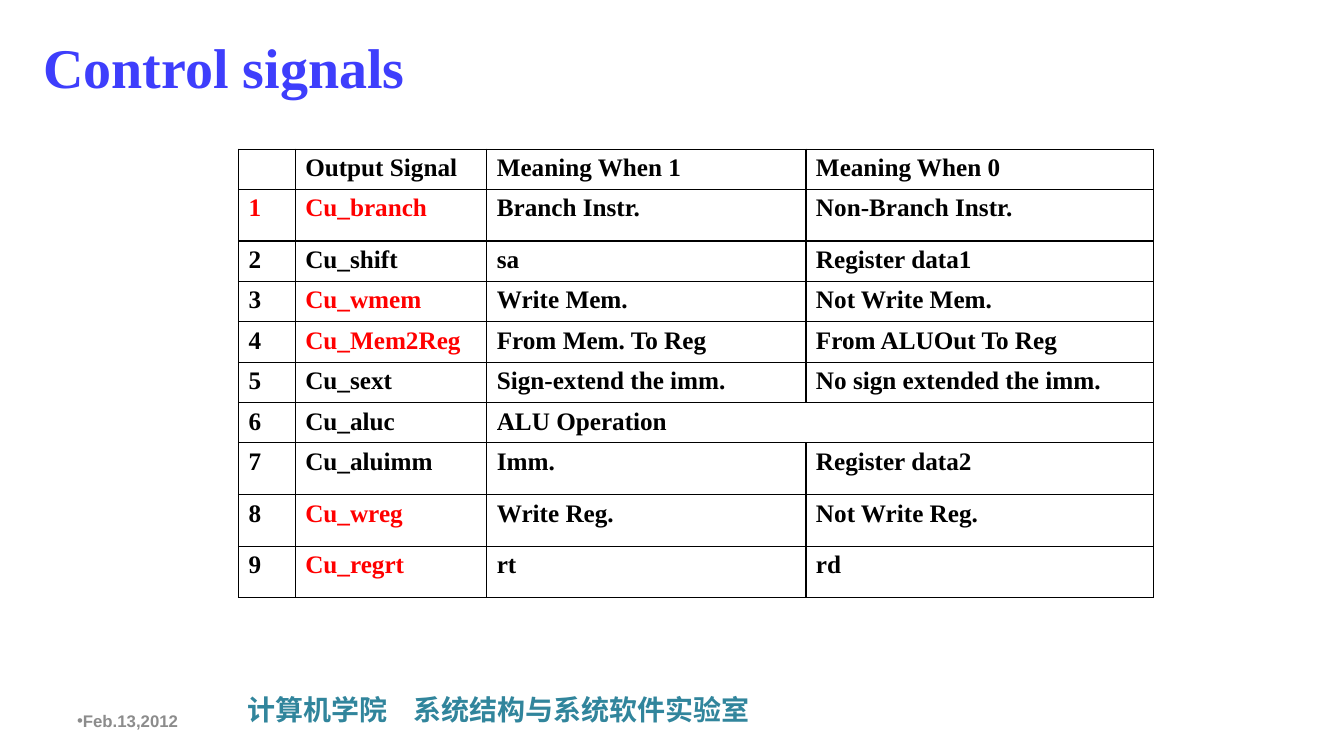
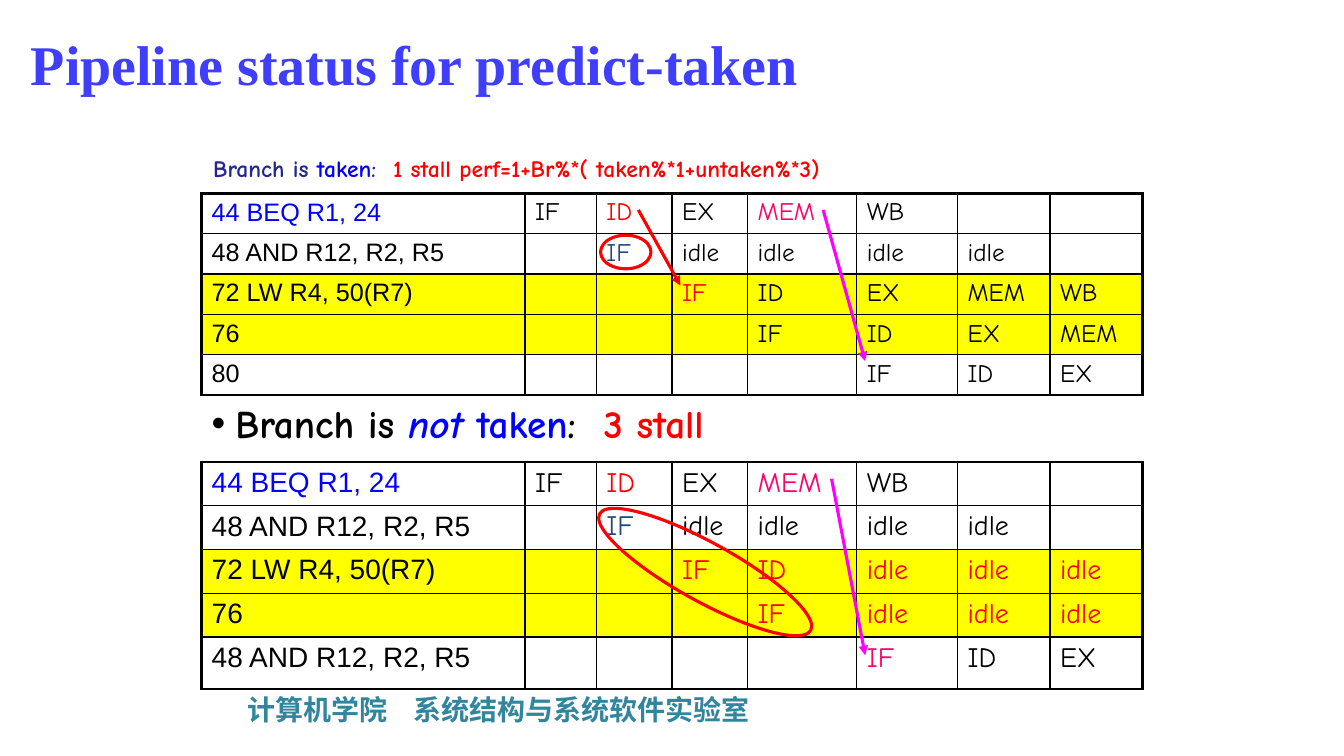
from lxml import etree
from pptx import Presentation
from pptx.dml.color import RGBColor
from pptx.enum.shapes import MSO_CONNECTOR, MSO_SHAPE
from pptx.enum.text import MSO_ANCHOR
from pptx.oxml.ns import qn
from pptx.util import Inches, Pt

STRAIGHT = MSO_CONNECTOR.STRAIGHT
OVAL = MSO_SHAPE.OVAL
TOP, MIDDLE = MSO_ANCHOR.TOP, MSO_ANCHOR.MIDDLE

GRID_COLUMNS, GRID_ROWS, UNITS_PER_INCH = 160, 90, 12

SERIF, SANS, COMIC, CHINESE = "Times New Roman", "Arial", "Comic Neue", "Noto Sans CJK SC"
BLACK, RED, BLUE, PINK = "000000", "FF0000", "0000FF", "FF0066"
MAGENTA, YELLOW, SLATE, NAVY = "FF00FF", "FFFF00", "1F497D", "242790"
TITLE_COLOR, LAB_COLOR, DATE_COLOR = "3E3EFC", "31859C", "8C8C8C"
THIN, THICK = 1, 2.25

SIGNAL_COLUMNS = [6.75, 22.8, 38, 41.4]
SIGNAL_ROWS = [4.55, 6.15, 4.55, 4.55, 4.55, 4.55, 4.55, 6.15, 6.15, 6.15]
SIGNALS = [
    ["", "Output Signal", "Meaning When 1", "Meaning When 0"],
    ["1", "Cu_branch", "Branch Instr.", "Non-Branch Instr."],
    ["2", "Cu_shift", "sa", "Register data1"],
    ["3", "Cu_wmem", "Write Mem.", "Not Write Mem."],
    ["4", "Cu_Mem2Reg", "From Mem. To Reg", "From ALUOut To Reg"],
    ["5", "Cu_sext", "Sign-extend the imm.", "No sign extended the imm."],
    ["6", "Cu_aluc", "ALU Operation", ""],
    ["7", "Cu_aluimm", "Imm.", "Register data2"],
    ["8", "Cu_wreg", "Write Reg.", "Not Write Reg."],
    ["9", "Cu_regrt", "rt", "rd"],
]
SIGNAL_COLORS = {(1, 0): RED} | {(row, 1): RED for row in (1, 3, 4, 8, 9)}
ALU_ROW = 6

PIPELINE_COLUMNS = [38.5, 8.5, 9, 9, 13, 12, 11, 11]
BRANCH_STAGES = [
    ["44 BEQ R1, 24", "IF", "ID", "EX", "MEM", "WB", "", ""],
    ["48 AND R12, R2, R5", "", "IF", "idle", "idle", "idle", "idle", ""],
]
TAKEN = BRANCH_STAGES + [
    ["72 LW R4, 50(R7)", "", "", "IF", "ID", "EX", "MEM", "WB"],
    ["76", "", "", "", "IF", "ID", "EX", "MEM"],
    ["80", "", "", "", "", "IF", "ID", "EX"],
]
NOT_TAKEN = BRANCH_STAGES + [
    ["72 LW R4, 50(R7)", "", "", "IF", "ID", "idle", "idle", "idle"],
    ["76", "", "", "", "IF", "idle", "idle", "idle"],
    ["48 AND R12, R2, R5", "", "", "", "", "IF", "ID", "EX"],
]
TAKEN_COLORS = {(0, 0): BLUE, (0, 2): RED, (0, 4): PINK, (1, 2): SLATE, (2, 3): RED}
FLUSHED_COLORS = {(row, column): RED for row in (2, 3) for column in range(3, 8)}
NOT_TAKEN_COLORS = TAKEN_COLORS | FLUSHED_COLORS | {(4, 5): PINK}
TARGET_ROWS = (2, 3)


def units(count):
    return Inches(count / UNITS_PER_INCH)


def rgb(color):
    return RGBColor.from_string(color)


def add_span(para, text, size=18, font=SANS, color=BLACK, bold=False, italic=False):
    span = para.add_run()
    span.text = text
    span.font.size = Pt(size)
    span.font.name = font
    span.font.bold = bold
    span.font.italic = italic
    span.font.color.rgb = rgb(color)
    etree.SubElement(span.font._element, qn("a:ea"), typeface=font)


def add_bullet(para, hang):
    properties = para._p.get_or_add_pPr()
    properties.set("marL", str(units(hang)))
    properties.set("indent", str(-units(hang)))
    etree.SubElement(properties, qn("a:buFont"), typeface=SANS)
    etree.SubElement(properties, qn("a:buChar"), char="•")


def add_tab_stop(para, position):
    tabs = etree.SubElement(para._p.get_or_add_pPr(), qn("a:tabLst"))
    etree.SubElement(tabs, qn("a:tab"), pos=str(units(position)), algn="l")


def add_text(page, left, top, width, height, spans, anchor=TOP, hang=None, tab=None, **style):
    box = page.shapes.add_textbox(*map(units, (left, top, width, height)))
    frame = box.text_frame
    frame.word_wrap = True
    frame.vertical_anchor = anchor
    para = frame.paragraphs[0]
    if hang is not None:
        add_bullet(para, hang)
    if tab is not None:
        add_tab_stop(para, tab)
    for text, changes in spans:
        add_span(para, text, **(style | changes))


def add_title(page, left, top, width, height, text):
    add_text(page, left, top, width, height, [(text, {})], anchor=MIDDLE,
             size=40, font=SERIF, color=TITLE_COLOR, bold=True)


def add_lab_name(page):
    add_text(page, 28.3, 81.8, 116, 5.3, [("计算机学院\t系统结构与系统软件实验室", {})],
             tab=19.75, size=20, font=CHINESE, color=LAB_COLOR, bold=True)


def set_border(cell, side, width):
    line = etree.SubElement(cell._tc.get_or_add_tcPr(), qn(f"a:ln{side}"), w=str(Pt(width)))
    fill = etree.SubElement(line, qn("a:solidFill"))
    etree.SubElement(fill, qn("a:srgbClr"), val=BLACK)


def fill_cell(cell, text, fill, style):
    if fill:
        cell.fill.solid()
        cell.fill.fore_color.rgb = rgb(fill)
    else:
        cell.fill.background()
    para = cell.text_frame.paragraphs[0]
    if text:
        add_span(para, text, **style)
    else:
        etree.SubElement(para._p, qn("a:endParaRPr"), sz="1200")


def add_grid(page, left, top, columns, rows, texts, colors, outline=THIN,
             row_fills=None, first_font=SERIF, font=SERIF, **style):
    extent = map(units, (left, top, sum(columns), sum(rows)))
    table = page.shapes.add_table(len(rows), len(columns), *extent).table
    table.first_row = table.horz_banding = False
    for column, width in zip(table.columns, columns):
        column.width = units(width)
    last_row, last_column = len(rows) - 1, len(columns) - 1
    for y, height in enumerate(rows):
        table.rows[y].height = units(height)
        for x, text in enumerate(texts[y]):
            cell = table.cell(y, x)
            edges = {"L": x == 0, "R": x == last_column, "T": y == 0, "B": y == last_row}
            for side, outer in edges.items():
                set_border(cell, side, outline if outer else THIN)
            look = style | {"font": font if x else first_font,
                            "color": colors.get((y, x), BLACK)}
            fill_cell(cell, text, (row_fills or {}).get(y), look)
    return table


def add_pipeline(page, top, rows, texts, colors, size):
    add_grid(page, 24, top, PIPELINE_COLUMNS, rows, texts, colors, outline=THICK,
             row_fills=dict.fromkeys(TARGET_ROWS, YELLOW),
             first_font=SANS, font=COMIC, size=size)


def add_arrow(page, start, end, color):
    arrow = page.shapes.add_connector(STRAIGHT, *map(units, start + end))
    arrow.line.color.rgb = rgb(color)
    arrow.line.width = Pt(THICK)
    etree.SubElement(arrow.line._get_or_add_ln(), qn("a:tailEnd"), type="triangle")
    etree.SubElement(arrow._element.spPr, qn("a:effectLst"))


def add_ring(page, left, top, width, height, rotation=0):
    ring = page.shapes.add_shape(OVAL, *map(units, (left, top, width, height)))
    ring.shadow.inherit = False
    ring.fill.background()
    ring.line.color.rgb = rgb(RED)
    ring.line.width = Pt(THICK)
    ring.rotation = rotation


def add_page(deck):
    page = deck.slides.add_slide(deck.slide_layouts[6])
    add_lab_name(page)
    return page


def build_signals(deck):
    page = add_page(deck)
    add_title(page, 4, 1.6, 138, 12.5, "Control signals")
    add_text(page, 8, 83.4, 37.3, 4.8, [("Feb.13,2012", {})], anchor=MIDDLE,
             hang=0, size=12, color=DATE_COLOR, bold=True)
    table = add_grid(page, 28.4, 17.75, SIGNAL_COLUMNS, SIGNAL_ROWS, SIGNALS,
                     SIGNAL_COLORS, bold=True)
    table.cell(ALU_ROW, 2).merge(table.cell(ALU_ROW, 3))


def build_pipeline(deck):
    page = add_page(deck)
    add_title(page, 2.5, 1, 114, 13, "Pipeline status for predict-taken")
    add_text(page, 24.2, 17.75, 116, 4, [
        ("Branch is ", {}), ("taken", {"color": BLUE}), (":  ", {}),
        ("1 stall perf=1+Br%*( taken%*1+untaken%*3)", {"color": RED}),
    ], size=16.8, font=COMIC, color=NAVY, bold=True)
    add_pipeline(page, 23, [4.67] * 5, TAKEN, TAKEN_COLORS, 18)
    add_text(page, 24, 47, 75, 6.8, [
        ("Branch is ", {}), ("not ", {"color": BLUE, "italic": True}),
        ("taken", {"color": BLUE}), (":  ", {}), ("3 stall", {"color": RED}),
    ], hang=2.85, size=28, font=COMIC, bold=True)
    add_pipeline(page, 55, [5.2] * 4 + [6.2], NOT_TAKEN, NOT_TAKEN_COLORS, 20)
    add_arrow(page, (76, 25), (81, 34), RED)
    add_arrow(page, (98, 25), (103, 43), MAGENTA)
    add_arrow(page, (99, 57), (103, 78), MAGENTA)
    add_ring(page, 69.6, 64.6, 28.7, 7, rotation=28.9)
    add_ring(page, 71.5, 28, 6, 4)


def main():
    deck = Presentation()
    deck.slide_width = units(GRID_COLUMNS)
    deck.slide_height = units(GRID_ROWS)
    build_signals(deck)
    build_pipeline(deck)
    deck.save("out.pptx")


if __name__ == "__main__":
    main()
